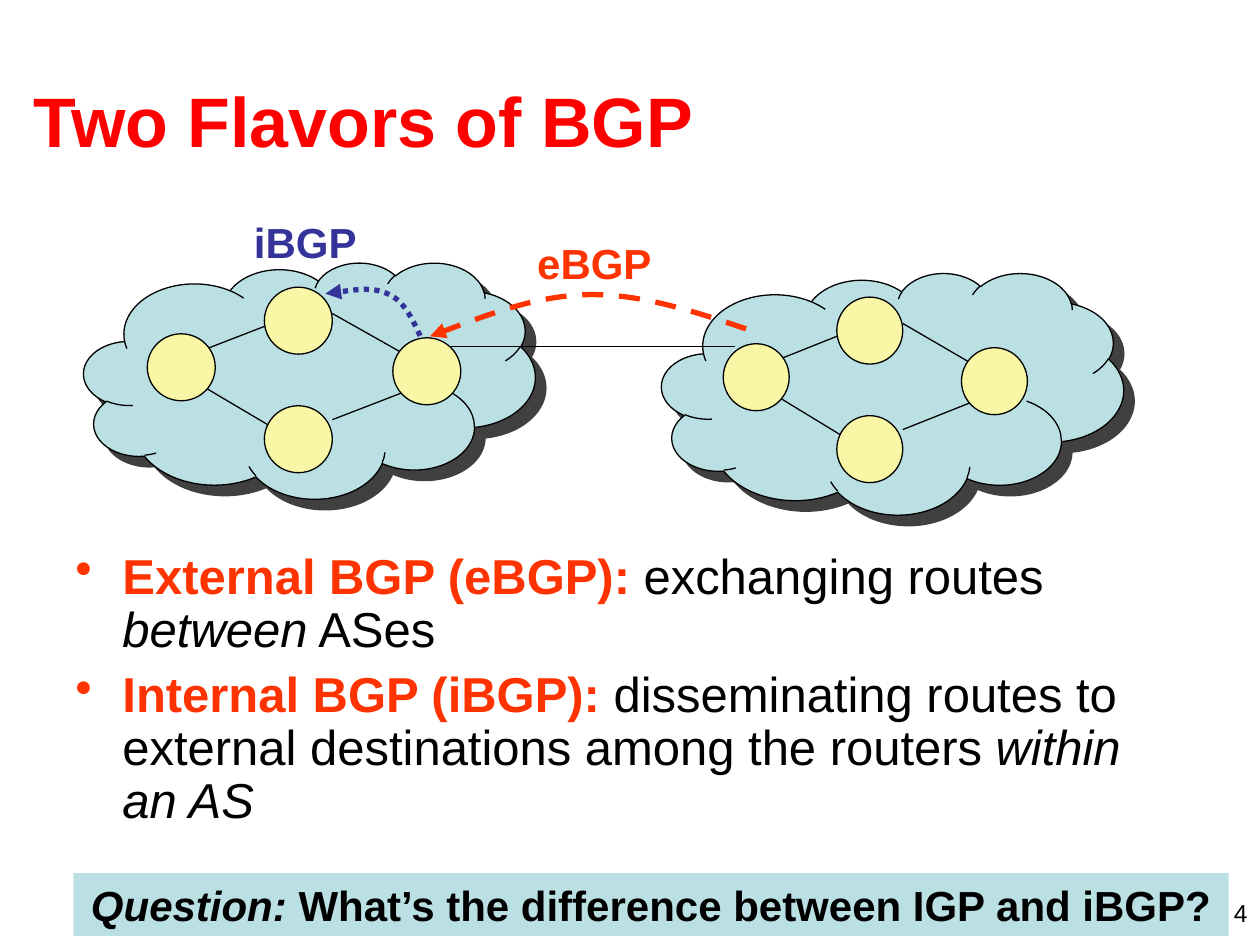
from dataclasses import dataclass

from lxml import etree
from pptx import Presentation
from pptx.dml.color import RGBColor
from pptx.enum.dml import MSO_LINE
from pptx.enum.shapes import MSO_CONNECTOR, MSO_SHAPE
from pptx.enum.text import MSO_ANCHOR, PP_ALIGN
from pptx.oxml.ns import qn
from pptx.util import Cm, Pt

CLOUD, ELLIPSE, RECTANGLE = MSO_SHAPE.CLOUD, MSO_SHAPE.OVAL, MSO_SHAPE.RECTANGLE
STRAIGHT = MSO_CONNECTOR.STRAIGHT
DASH, DOT = MSO_LINE.DASH, MSO_LINE.ROUND_DOT
TOP, MIDDLE = MSO_ANCHOR.TOP, MSO_ANCHOR.MIDDLE
LEFT, CENTER, RIGHT = PP_ALIGN.LEFT, PP_ALIGN.CENTER, PP_ALIGN.RIGHT

Point = tuple[float, float]
Box = tuple[float, float, float, float]


@dataclass(frozen=True)
class Theme:
    font: str = "Arial"
    title: str = "FF0000"
    external: str = "FF3300"
    internal: str = "333399"
    ink: str = "000000"
    cloud: str = "BBE0E3"
    router: str = "F9F7A5"
    title_size: int = 40
    body_size: int = 28
    label_size: int = 24
    number_size: int = 14
    thin: float = 0.75
    thick: float = 3


@dataclass(frozen=True)
class Span:
    text: str
    color: str
    bold: bool = False
    italic: bool = False


@dataclass(frozen=True)
class Network:
    cloud: Box
    origin: Point
    stretch: float


@dataclass(frozen=True)
class Session:
    label: str
    label_box: Box
    color: str
    dash: MSO_LINE
    curve: tuple[Point, ...]


THEME = Theme()
ROUTER_SIZE = (1.37, 1.35)
ROUTERS = ((2.36, 0), (2.36, 2.39), (4.95, 1.02), (0, 0.94))
LINKS = (
    ((0.99, 1.32), (2.36, 0.79)),
    ((3.73, 2.67), (5.13, 2.13)),
    ((1.09, 1.98), (2.46, 2.79)),
    ((3.73, 0.53), (5.13, 1.32)),
)
NETWORKS = (
    Network((1.69, 5.29, 9.1, 4.76), (2.97, 5.79), 1),
    Network((13.34, 5.5, 9.31, 4.87), (14.58, 5.99), 0.97),
)
PEERING = ((9.09, 6.99), (14.82, 6.99))
SESSIONS = (
    Session("eBGP", (10.58, 4.66, 4.02, 1.27), THEME.external, DASH,
            ((15.04, 6.63), (13.97, 6.27), (12.9, 5.92), (11.85, 5.94),
             (10.8, 5.97), (9.74, 6.38), (8.67, 6.78))),
    Session("iBGP", (4.87, 4.23, 4.02, 1.27), THEME.internal, DOT,
            ((8.47, 6.77), (8.31, 6.43), (8.15, 6.07), (7.83, 5.93),
             (7.51, 5.78), (7.03, 5.86), (6.56, 5.92))),
)
DEFINITIONS = (
    (Span("External BGP (eBGP):", THEME.external, bold=True),
     Span(" exchanging routes ", THEME.ink),
     Span("between", THEME.ink, italic=True),
     Span(" ASes", THEME.ink)),
    (Span("Internal BGP (iBGP):", THEME.external, bold=True),
     Span(" disseminating routes to external destinations among the routers ", THEME.ink),
     Span("within an AS", THEME.ink, italic=True)),
)
QUESTION = (
    Span("Question:", THEME.ink, bold=True, italic=True),
    Span(" What’s the difference between IGP and iBGP?", THEME.ink, bold=True),
)


def rgb(color: str) -> RGBColor:
    return RGBColor.from_string(color)


def lengths(values) -> list:
    return [Cm(value) for value in values]


def write(paragraph, spans: tuple[Span, ...], size: int, align=LEFT) -> None:
    paragraph.alignment = align
    paragraph.font.name = THEME.font
    paragraph.font.size = Pt(size)
    for span in spans:
        run = paragraph.add_run()
        run.text = span.text
        run.font.bold = span.bold
        run.font.italic = span.italic
        run.font.color.rgb = rgb(span.color)


def add_text(slide, box: Box, spans: tuple[Span, ...], size: int, align=LEFT, anchor=TOP) -> None:
    frame = slide.shapes.add_textbox(*lengths(box)).text_frame
    frame.word_wrap = True
    frame.vertical_anchor = anchor
    write(frame.paragraphs[0], spans, size, align)


def add_solid(slide, kind: MSO_SHAPE, box: Box, fill: str, outlined: bool = True):
    solid = slide.shapes.add_shape(kind, *lengths(box))
    solid.fill.solid()
    solid.fill.fore_color.rgb = rgb(fill)
    if outlined:
        solid.line.color.rgb = rgb(THEME.ink)
        solid.line.width = Pt(THEME.thin)
    else:
        solid.line.fill.background()
    solid.shadow.inherit = False
    return solid


def add_link(slide, start: Point, end: Point) -> None:
    link = slide.shapes.add_connector(STRAIGHT, *lengths((*start, *end)))
    link.line.color.rgb = rgb(THEME.ink)
    link.line.width = Pt(THEME.thin)
    etree.SubElement(link.element.spPr, qn("a:effectLst"))


def add_network(slide, network: Network) -> None:
    cloud = add_solid(slide, CLOUD, network.cloud, THEME.cloud)
    shadow = etree.SubElement(cloud.element.spPr.find(qn("a:effectLst")), qn("a:outerShdw"),
                              dist=str(Pt(8.5)), dir="2700000", algn="ctr", rotWithShape="0")
    shade = etree.SubElement(shadow, qn("a:srgbClr"), val=THEME.ink)
    etree.SubElement(shade, qn("a:alpha"), val="75000")

    def place(point: Point) -> Point:
        return network.origin[0] + point[0] * network.stretch, network.origin[1] + point[1]

    width, height = ROUTER_SIZE
    for start, end in LINKS:
        add_link(slide, place(start), place(end))
    for router in ROUTERS:
        add_solid(slide, ELLIPSE, (*place(router), width * network.stretch, height), THEME.router)


def add_session(slide, session: Session) -> None:
    start, *controls = [tuple(lengths(point)) for point in session.curve]
    builder = slide.shapes.build_freeform(*start)
    builder.add_line_segments(controls, close=False)
    arrow = builder.convert_to_shape()
    arrow.fill.background()
    arrow.line.color.rgb = rgb(session.color)
    arrow.line.width = Pt(THEME.thick)
    arrow.line.dash_style = session.dash
    arrow.shadow.inherit = False
    properties = arrow.element.spPr
    etree.SubElement(properties.find(qn("a:ln")), qn("a:tailEnd"), type="triangle")
    outline = next(properties.iter(qn("a:path")))
    segments = outline.findall(qn("a:lnTo"))
    for first in range(0, len(segments), 3):
        bezier = etree.SubElement(outline, qn("a:cubicBezTo"))
        for segment in segments[first:first + 3]:
            bezier.append(segment[0])
            outline.remove(segment)
    add_text(slide, session.label_box, (Span(session.label, session.color, bold=True),),
             THEME.label_size)


def add_definitions(slide) -> None:
    frame = slide.shapes.add_textbox(*lengths((1.27, 11, 22.86, 6.02))).text_frame
    frame.word_wrap = True
    for index, spans in enumerate(DEFINITIONS):
        paragraph = frame.add_paragraph() if index else frame.paragraphs[0]
        paragraph.line_spacing = 0.9
        paragraph.space_before = Pt(7)
        properties = paragraph._p.get_or_add_pPr()
        properties.set("marL", str(Cm(0.95)))
        properties.set("indent", str(-Cm(0.95)))
        bullet_color = etree.SubElement(properties, qn("a:buClr"))
        etree.SubElement(bullet_color, qn("a:srgbClr"), val=THEME.external)
        etree.SubElement(properties, qn("a:buChar"), char="•")
        write(paragraph, spans, THEME.body_size)


def main() -> None:
    presentation = Presentation()
    presentation.slide_width, presentation.slide_height = Cm(25.4), Cm(19.05)
    slide = presentation.slides.add_slide(presentation.slide_layouts[6])
    add_text(slide, (19.48, 17.98, 5.92, 0.64), (Span("4", THEME.ink),), THEME.number_size, RIGHT)
    add_text(slide, (0.43, 0.81, 24.33, 3.18), (Span("Two Flavors of BGP", THEME.title, bold=True),),
             THEME.title_size, anchor=MIDDLE)
    add_definitions(slide)
    for network in NETWORKS:
        add_network(slide, network)
    add_link(slide, *PEERING)
    for session in SESSIONS:
        add_session(slide, session)
    banner = add_solid(slide, RECTANGLE, (1.48, 17.6, 23.29, 1.27), THEME.cloud, outlined=False)
    banner.text_frame.word_wrap = True
    write(banner.text_frame.paragraphs[0], QUESTION, THEME.label_size, CENTER)
    presentation.save("out.pptx")


if __name__ == "__main__":
    main()
